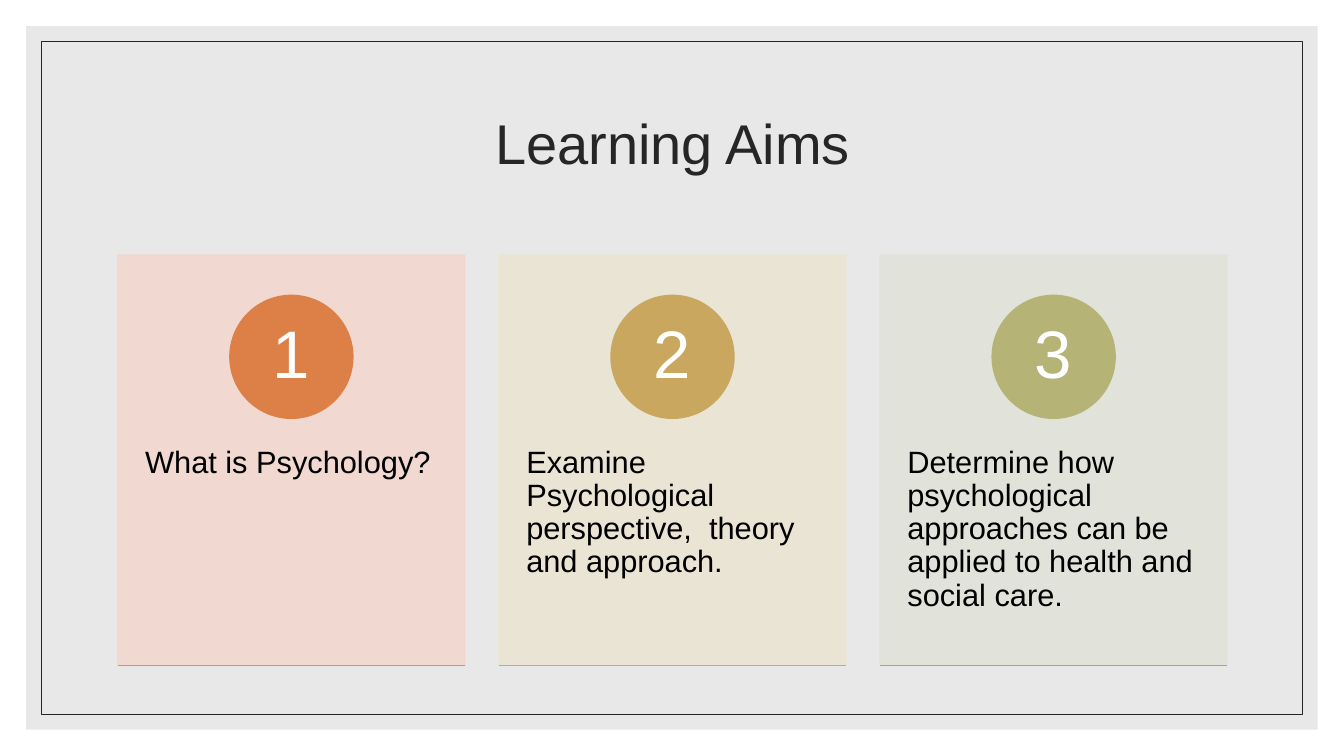
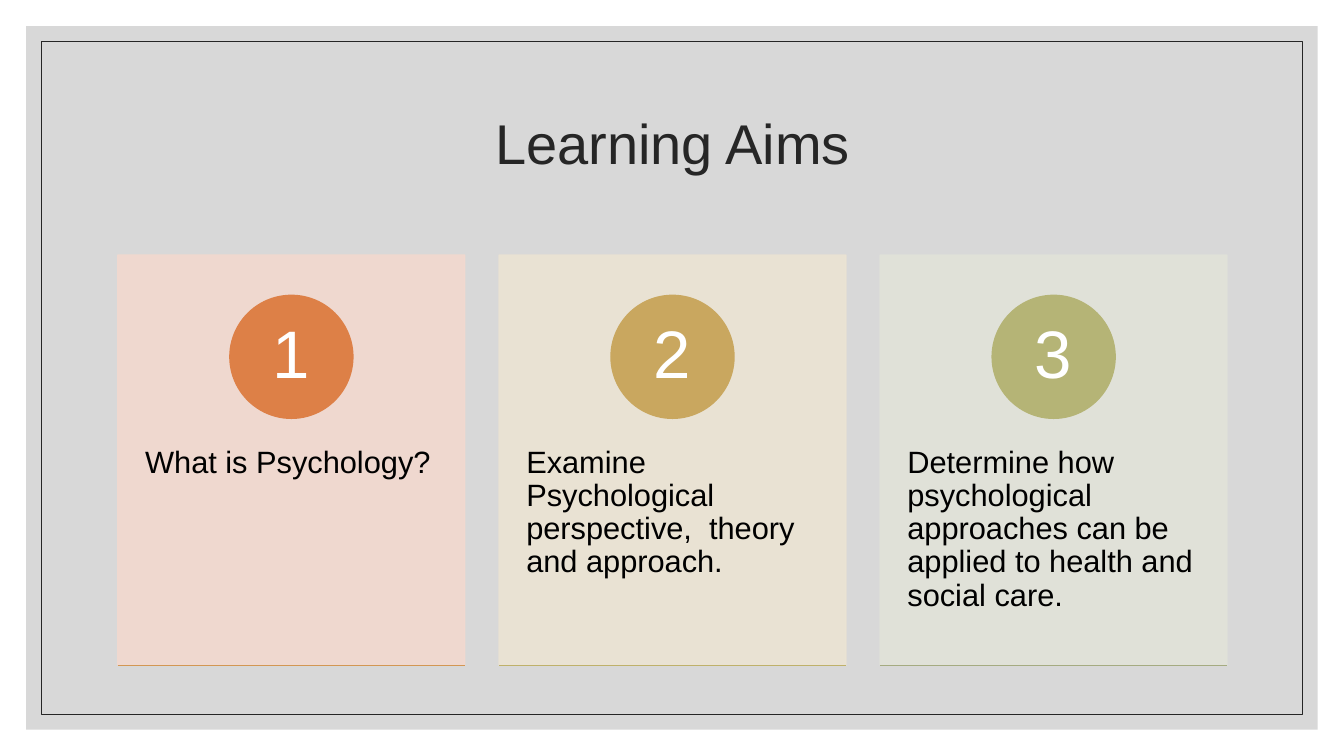
from lxml.etree import SubElement
from pptx import Presentation
from pptx.dml.color import RGBColor
from pptx.enum.shapes import MSO_CONNECTOR, MSO_SHAPE
from pptx.enum.text import MSO_ANCHOR, PP_ALIGN
from pptx.oxml.ns import qn
from pptx.util import Inches, Pt

WHITE = RGBColor(0xFF, 0xFF, 0xFF)
BLACK = RGBColor(0x00, 0x00, 0x00)
INK = RGBColor(0x26, 0x26, 0x26)
LIGHT_GREY = RGBColor(0xD9, 0xD9, 0xD9)
MID_GREY = RGBColor(0xBF, 0xBF, 0xBF)
FONT = "Arial"

TITLE = "Learning Aims"
# text, card colour, badge colour, baseline colour
AIMS = [
    ("What is Psychology?",
     RGBColor(0xF2, 0xD8, 0xCF), RGBColor(0xDD, 0x80, 0x47), RGBColor(0xD3, 0x97, 0x53)),
    ("Examine Psychological perspective,  theory and approach.",
     RGBColor(0xEB, 0xE4, 0xD3), RGBColor(0xC9, 0xA7, 0x5F), RGBColor(0xBF, 0xB1, 0x6A)),
    ("Determine how psychological approaches can be applied to health and social care.",
     RGBColor(0xE1, 0xE2, 0xD8), RGBColor(0xB5, 0xB4, 0x76), RGBColor(0xA5, 0xAB, 0x81)),
]
PANELS = [LIGHT_GREY, MID_GREY]

WIDTH, HEIGHT = 13.33, 7.5
PANEL_MARGIN, FRAME_MARGIN = 0.26, 0.41
CONTENT_LEFT, CONTENT_WIDTH = 1.17, 11
TITLE_TOP, TITLE_HEIGHT = 0.7, 1.5
CARD_TOP, CARD_WIDTH, CARD_HEIGHT = 2.53, 3.44, 4.07
CARD_STEP = (CONTENT_WIDTH - CARD_WIDTH) / (len(AIMS) - 1)
BADGE_SIZE, BADGE_DROP = 1.22, 0.4
TEXT_DROP, TEXT_INSET = 1.9, 0.27


def set_opacity(color_format_owner, percent):
    """Make every solid colour inside the element partly transparent."""
    for color in color_format_owner.iter(qn("a:srgbClr")):
        SubElement(color, qn("a:alpha"), val=str(percent * 1000))


def add_box(slide, preset, left, top, width, height, fill=None, line=None,
            line_width=1, opacity=100):
    box = slide.shapes.add_shape(
        preset, Inches(left), Inches(top), Inches(width), Inches(height))
    box.shadow.inherit = False
    if fill is None:
        box.fill.background()
    else:
        box.fill.solid()
        box.fill.fore_color.rgb = fill
    if line is None:
        box.line.fill.background()
    else:
        box.line.color.rgb = line
        box.line.width = Pt(line_width)
    if opacity < 100:
        set_opacity(box._element.spPr, opacity)
    return box


def write(box, text, size, color, align, anchor, insets=None):
    frame = box.text_frame
    frame.word_wrap = True
    frame.vertical_anchor = anchor
    if insets:
        (frame.margin_left, frame.margin_top,
         frame.margin_right, frame.margin_bottom) = map(Inches, insets)
    para = frame.paragraphs[0]
    para.alignment = align
    para.line_spacing = 0.9
    span = para.add_run()
    span.text = text
    span.font.name = FONT
    span.font.size = Pt(size)
    span.font.color.rgb = color


def add_inset_rectangle(slide, margin, **style):
    return add_box(slide, MSO_SHAPE.RECTANGLE, margin, margin,
                   WIDTH - 2 * margin, HEIGHT - 2 * margin, **style)


def add_baseline(slide, left, top, width, color):
    rule = slide.shapes.add_connector(
        MSO_CONNECTOR.STRAIGHT, Inches(left), Inches(top),
        Inches(left + width), Inches(top))
    rule.line.color.rgb = color
    rule.line.width = Pt(0.75)
    SubElement(rule._element.spPr, qn("a:effectLst"))


def add_card(slide, index, text, card_color, badge_color, rule_color):
    left = CONTENT_LEFT + index * CARD_STEP
    card = add_box(slide, MSO_SHAPE.RECTANGLE, left, CARD_TOP, CARD_WIDTH, CARD_HEIGHT,
                   fill=card_color, line=card_color, opacity=90)
    write(card, text, 22, BLACK, PP_ALIGN.LEFT, MSO_ANCHOR.TOP,
          (TEXT_INSET, TEXT_DROP, TEXT_INSET, TEXT_INSET))
    badge = add_box(slide, MSO_SHAPE.OVAL, left + (CARD_WIDTH - BADGE_SIZE) / 2,
                    CARD_TOP + BADGE_DROP, BADGE_SIZE, BADGE_SIZE,
                    fill=badge_color, line=badge_color)
    write(badge, str(index + 1), 48, WHITE, PP_ALIGN.CENTER, MSO_ANCHOR.MIDDLE,
          (0.1, 0.01, 0.1, 0.01))
    add_baseline(slide, left, CARD_TOP + CARD_HEIGHT, CARD_WIDTH, rule_color)


def add_aims_slide(deck, panel_color):
    slide = deck.slides.add_slide(deck.slide_layouts.get_by_name("Title Only"))
    add_inset_rectangle(slide, PANEL_MARGIN, fill=panel_color, opacity=60)
    add_inset_rectangle(slide, FRAME_MARGIN, line=INK, line_width=0.5)

    title = slide.shapes.title
    title.left, title.top = Inches(CONTENT_LEFT), Inches(TITLE_TOP)
    title.width, title.height = Inches(CONTENT_WIDTH), Inches(TITLE_HEIGHT)
    write(title, TITLE, 40, INK, PP_ALIGN.CENTER, MSO_ANCHOR.MIDDLE)
    slide.shapes._spTree.append(title._element)  # in front of the panel

    for index, aim in enumerate(AIMS):
        add_card(slide, index, *aim)


def main():
    deck = Presentation()
    deck.slide_width, deck.slide_height = Inches(WIDTH), Inches(HEIGHT)
    for panel_color in PANELS:
        add_aims_slide(deck, panel_color)
    deck.save("out.pptx")


if __name__ == "__main__":
    main()
